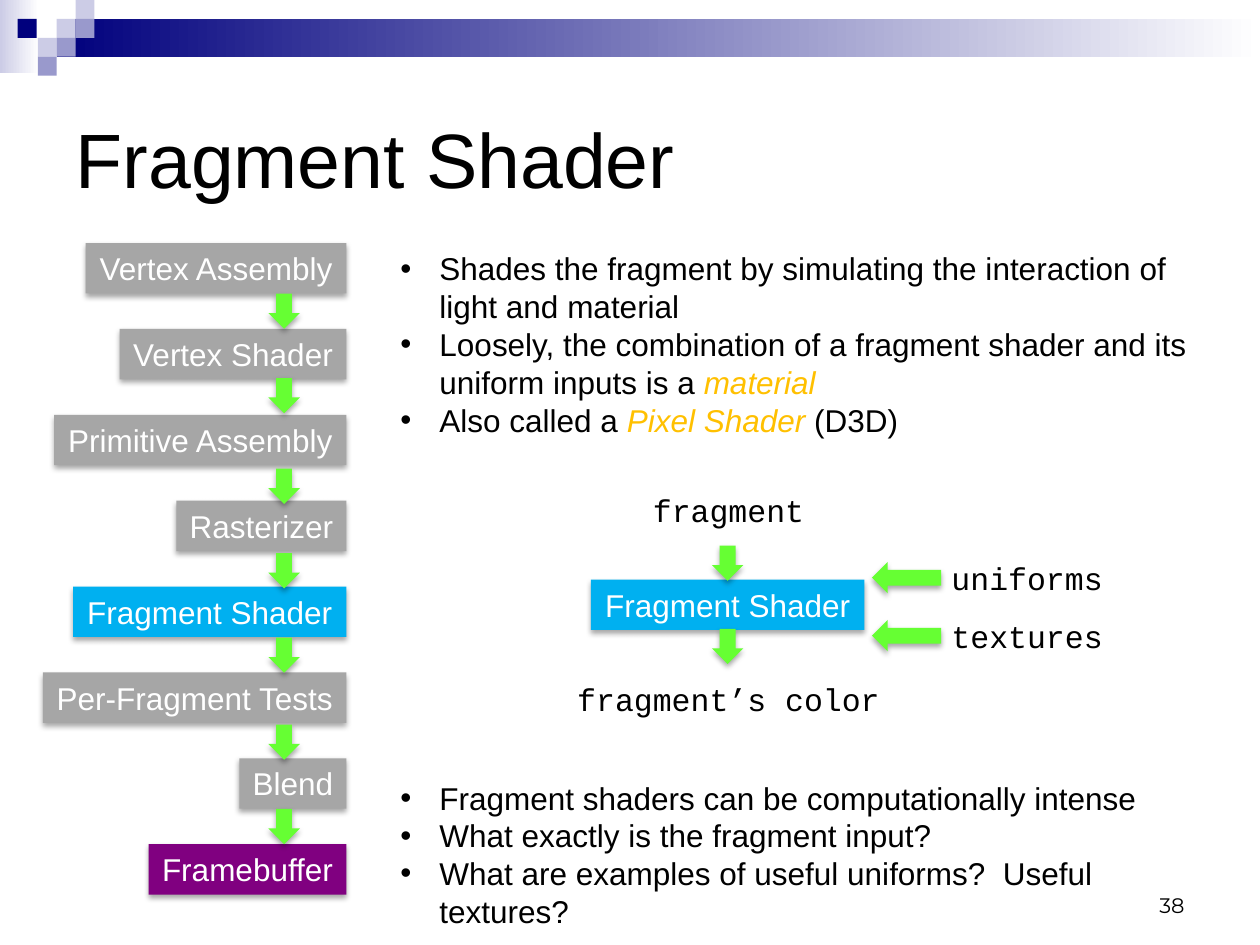
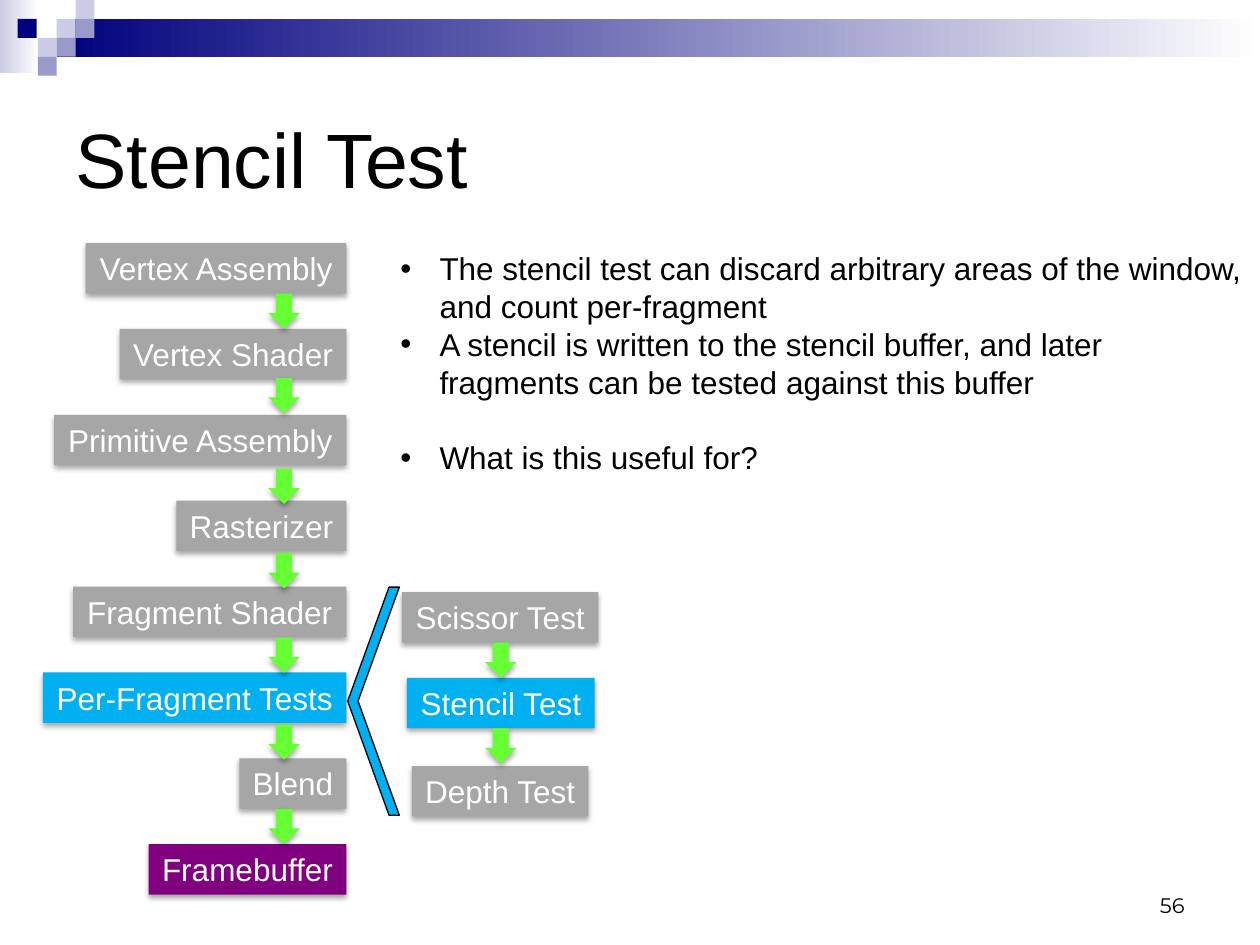
from dataclasses import dataclass

from lxml import etree
from pptx import Presentation
from pptx.dml.color import RGBColor
from pptx.enum import shapes, text
from pptx.oxml.ns import qn
from pptx.util import Inches, Pt

# Shared look
NAVY, LILAC, PALE = "00007D", "9999CC", "CCCCE6"
WHITE, BLACK, GREY = "FFFFFF", "000000", "A6A6A6"
BLUE, PURPLE, GREEN, GOLD = "00B0F0", "800080", "66FF33", "FFC000"
SANS, MONO, NUMBER_FONT = "Arial", "Courier New", "Montserrat"
LINE = 21.6  # line height of 18 pt text, in points
BOX_H = 0.4
SQUARE = 0.15
ARROW_W, ARROW_H = 0.25, 0.28

SHAPE = shapes.MSO_SHAPE
ALIGN = text.PP_ALIGN
ANCHOR = text.MSO_ANCHOR


@dataclass
class Box:
    label: str
    left: float
    top: float
    width: float


@dataclass
class Stage:
    label: str
    width: float
    color: str = GREY


@dataclass
class Run:
    text: str
    term: bool = False


@dataclass
class Bullet:
    runs: list[Run]
    lines_before: int = 0


# The pipeline column: right-aligned boxes at equal steps
STAGES = [
    Stage("Vertex Assembly", 2.07),
    Stage("Vertex Shader", 1.8),
    Stage("Primitive Assembly", 2.32),
    Stage("Rasterizer", 1.35),
    Stage("Fragment Shader", 2.17),
    Stage("Per-Fragment Tests", 2.41),
    Stage("Blend", 0.85),
    Stage("Framebuffer", 1.57, PURPLE),
]
STAGE_RIGHT, FIRST_TOP, LAST_TOP = 2.75, 1.93, 6.7
STAGE_ARROW_TOPS = (2.33, 3, 3.72, 4.39, 5.06, 5.75, 6.42)


def rgb(color: str) -> RGBColor:
    return RGBColor.from_string(color)


def place(sp, left: float, top: float, width: float, height: float) -> None:
    sp.left, sp.top = Inches(left), Inches(top)
    sp.width, sp.height = Inches(width), Inches(height)


def write(p, content: str, *, size: float = 18, font: str = SANS,
          color: str = BLACK, italic: bool = False, align=ALIGN.LEFT,
          line: float | None = LINE) -> None:
    """Add one formatted run to a paragraph."""
    r = p.add_run()
    r.text = content
    r.font.size, r.font.name, r.font.italic = Pt(size), font, italic
    r.font.color.rgb = rgb(color)
    p.alignment = align
    if line:
        p.line_spacing = Pt(line)


def add_shadow(sp) -> None:
    sp.shadow.inherit = False
    effects = sp.element.spPr.find(qn("a:effectLst"))
    shadow = etree.SubElement(effects, qn("a:outerShdw"), blurRad="40000",
                              dist="23000", dir="5400000", rotWithShape="0")
    clr = etree.SubElement(shadow, qn("a:srgbClr"), val=BLACK)
    etree.SubElement(clr, qn("a:alpha"), val="35000")


def add_shape(slide, kind, left: float, top: float, width: float,
              height: float, color: str, fade: bool = False):
    """Add an unlined shape, solid or fading to white on the right."""
    sp = slide.shapes.add_shape(kind, Inches(left), Inches(top),
                                Inches(width), Inches(height))
    sp.shadow.inherit = False
    sp.line.fill.background()
    if fade:
        sp.fill.gradient()
        sp.fill.gradient_angle = 0
        for stop, stop_color in zip(sp.fill.gradient_stops, (color, WHITE)):
            stop.color.rgb = rgb(stop_color)
    else:
        sp.fill.solid()
        sp.fill.fore_color.rgb = rgb(color)
    return sp


def add_box(slide, box: Box, color: str) -> None:
    sp = add_shape(slide, SHAPE.RECTANGLE, box.left, box.top, box.width,
                   BOX_H, color)
    add_shadow(sp)
    tf = sp.text_frame
    tf.word_wrap = False
    tf.vertical_anchor = ANCHOR.TOP
    write(tf.paragraphs[0], box.label, color=WHITE, align=ALIGN.CENTER)


def add_arrow(slide, left: float, top: float, height: float = ARROW_H,
              rotation: float = 0) -> None:
    sp = add_shape(slide, SHAPE.DOWN_ARROW, left, top, ARROW_W, height, GREEN)
    sp.rotation = rotation
    add_shadow(sp)


def add_text_box(slide, left: float, top: float, width: float, height: float,
                 wrap: bool = True):
    tb = slide.shapes.add_textbox(Inches(left), Inches(top),
                                  Inches(width), Inches(height))
    tb.text_frame.word_wrap = wrap
    return tb.text_frame


def add_code_label(slide, box: Box) -> None:
    tf = add_text_box(slide, box.left, box.top, box.width, BOX_H, wrap=False)
    write(tf.paragraphs[0], box.label, font=MONO, align=ALIGN.RIGHT)


def add_bullets(slide, bullets: list[Bullet], width: float,
                height: float) -> None:
    tf = add_text_box(slide, 3.08, FIRST_TOP, width, height)
    for i, bullet in enumerate(bullets):
        p = tf.add_paragraph() if i else tf.paragraphs[0]
        pPr = p._p.get_or_add_pPr()
        indent = Inches(0.31)
        pPr.set("marL", str(indent))
        pPr.set("indent", str(-indent))
        etree.SubElement(pPr, qn("a:buFont"), typeface=SANS)
        etree.SubElement(pPr, qn("a:buChar"), char="•")
        if bullet.lines_before:
            p.space_before = Pt(bullet.lines_before * LINE)
        for run in bullet.runs:
            write(p, run.text, color=GOLD if run.term else BLACK,
                  italic=run.term)


def add_pipeline(slide, active: str) -> None:
    step = (LAST_TOP - FIRST_TOP) / (len(STAGES) - 1)
    for i, stage in enumerate(STAGES):
        box = Box(stage.label, STAGE_RIGHT - stage.width,
                  FIRST_TOP + i * step, stage.width)
        add_box(slide, box, BLUE if stage.label == active else stage.color)
    for top in STAGE_ARROW_TOPS:
        add_arrow(slide, 2.13, top)


def decorate_layout(layout, slide) -> None:
    """Draw the top band and squares, then move them to the layout."""
    band = [
        add_shape(slide, SHAPE.RECTANGLE, 0, 0, 0.31, 0.58, PALE, fade=True),
        add_shape(slide, SHAPE.RECTANGLE, 0.45, 0.15, 9.55, 0.3, NAVY,
                  fade=True),
    ]
    squares = [(0.45, 0.15, PALE), (0.6, 0, PALE), (0.6, 0.15, LILAC),
               (0.3, 0.3, PALE), (0.14, 0.15, NAVY), (0.45, 0.3, LILAC),
               (0.3, 0.45, LILAC)]
    for left, top, color in squares:
        band.append(add_shape(slide, SHAPE.RECTANGLE, left, top, SQUARE,
                              SQUARE, color))
    for sp in band:
        layout.shapes.element.append(sp.element)


def new_slide(prs, title: str, number: int, active: str):
    """Add a slide with its title, page number and pipeline."""
    slide = prs.slides.add_slide(prs.slide_layouts[5])
    sp = slide.shapes.title
    place(sp, 0.5, 0.5, 9, 1.5)
    tf = sp.text_frame
    tf.word_wrap = True
    tf.auto_size = text.MSO_AUTO_SIZE.NONE
    tf.vertical_anchor = ANCHOR.MIDDLE
    write(tf.paragraphs[0], title, size=44, line=None)
    add_pipeline(slide, active)
    tf = add_text_box(slide, 7.17, 6.83, 2.33, 0.5)
    tf.vertical_anchor = ANCHOR.BOTTOM
    write(tf.paragraphs[0], str(number), size=12, font=NUMBER_FONT,
          align=ALIGN.RIGHT, line=None)
    return slide


def build_fragment_shader(prs):
    slide = new_slide(prs, "Fragment Shader", 38, "Fragment Shader")
    add_bullets(slide, [
        Bullet([Run("Shades the fragment by simulating the interaction of "
                    "light and material")]),
        Bullet([Run("Loosely, the combination of a fragment shader and its "
                    "uniform inputs is a "), Run("material", term=True)]),
        Bullet([Run("Also called a "), Run("Pixel Shader", term=True),
                Run(" (D3D)")]),
        Bullet([Run("Fragment shaders can be computationally intense")],
               lines_before=9),
        Bullet([Run("What exactly is the fragment input?")]),
        Bullet([Run("What are examples of useful uniforms?  "
                    "Useful textures?")]),
    ], 6.5, 5.5)

    # Shader inputs and output
    add_box(slide, Box("Fragment Shader", 4.69, 4.6, 2.17), BLUE)
    for top in (4.33, 4.99):
        add_arrow(slide, 5.65, top)
    for top in (4.31, 4.77):
        add_arrow(slide, 7.07, top, height=0.55, rotation=90)
    for label in (Box("fragment", 5.07, 3.85, 1.41),
                  Box("fragment’s color", 4.47, 5.35, 2.61),
                  Box("uniforms", 7.44, 4.39, 1.41),
                  Box("textures", 7.44, 4.85, 1.41)):
        add_code_label(slide, label)
    return slide


def build_stencil_test(prs) -> None:
    slide = new_slide(prs, "Stencil Test", 56, "Per-Fragment Tests")

    # The tests inside the per-fragment stage
    for box, color in ((Box("Scissor Test", 3.19, 4.7, 1.56), GREY),
                       (Box("Stencil Test", 3.23, 5.38, 1.49), BLUE),
                       (Box("Depth Test", 3.27, 6.08, 1.4), GREY)):
        add_box(slide, box, color)
    for top in (5.1, 5.78):
        add_arrow(slide, 3.85, top)
    bracket = add_shape(slide, SHAPE.CHEVRON, 2.76, 4.66, 0.41, 1.81, BLUE)
    bracket.adjustments[0] = 0.8
    bracket.element.spPr.find(qn("a:xfrm")).set("flipH", "1")
    bracket.line.color.rgb = rgb(BLACK)
    bracket.line.width = Pt(0.75)

    add_bullets(slide, [
        Bullet([Run("The stencil test can discard arbitrary areas of the "
                    "window, and count per-fragment")]),
        Bullet([Run("A stencil is written to the stencil buffer, and later "
                    "fragments can be tested against this buffer")]),
        Bullet([Run("What is this useful for?")], lines_before=1),
    ], 6.92, 3.43)


def main() -> None:
    prs = Presentation()
    prs.slide_width, prs.slide_height = Inches(10), Inches(7.5)
    first = build_fragment_shader(prs)
    decorate_layout(first.slide_layout, first)
    build_stencil_test(prs)
    prs.save("out.pptx")


if __name__ == "__main__":
    main()
